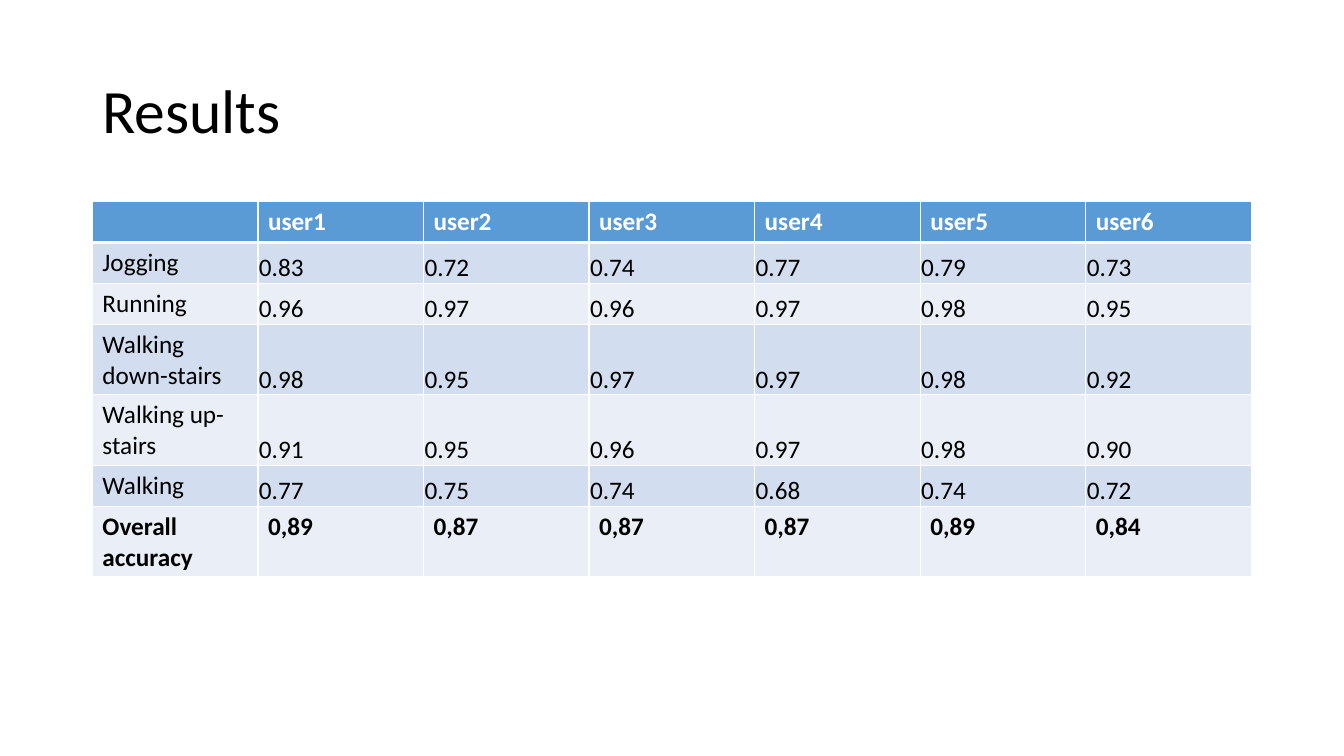
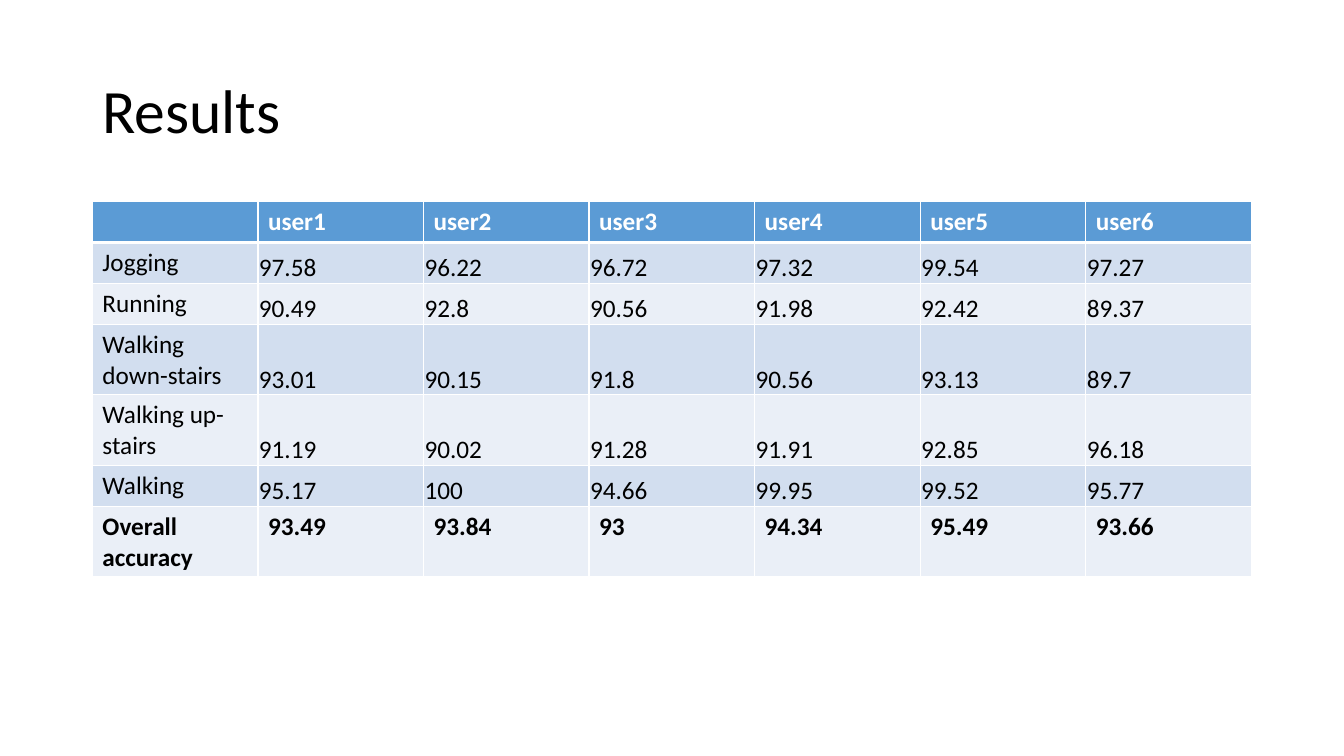
from lxml import etree
from pptx import Presentation
from pptx.dml.color import RGBColor
from pptx.enum import text as t
from pptx.oxml import ns
from pptx.util import Pt

# Shared style
FONT = "Calibri"
BLACK = RGBColor(0x00, 0x00, 0x00)
WHITE = RGBColor(0xFF, 0xFF, 0xFF)
BLUE = RGBColor(0x5B, 0x9B, 0xD5)
BANDS = [RGBColor(0xD2, 0xDE, 0xEF), RGBColor(0xEA, 0xEF, 0xF7)]
LEFT, WIDTH = 66, 828
ROW = 29.2

# Content
USERS = ["user1", "user2", "user3", "user4", "user5", "user6"]
MOVES = ["Jogging", "Running", "Walking down-stairs", "Walking up-stairs",
         "Walking", "Overall accuracy"]
SHARES = [
    ["0.83", "0.72", "0.74", "0.77", "0.79", "0.73"],
    ["0.96", "0.97", "0.96", "0.97", "0.98", "0.95"],
    ["0.98", "0.95", "0.97", "0.97", "0.98", "0.92"],
    ["0.91", "0.95", "0.96", "0.97", "0.98", "0.90"],
    ["0.77", "0.75", "0.74", "0.68", "0.74", "0.72"],
    ["0,89", "0,87", "0,87", "0,87", "0,89", "0,84"],
]
SCORES = [
    ["97.58", "96.22", "96.72", "97.32", "99.54", "97.27"],
    ["90.49", "92.8", "90.56", "91.98", "92.42", "89.37"],
    ["93.01", "90.15", "91.8", "90.56", "93.13", "89.7"],
    ["91.19", "90.02", "91.28", "91.91", "92.85", "96.18"],
    ["95.17", "100", "94.66", "99.95", "99.52", "95.77"],
    ["93.49", "93.84", "93", "94.34", "95.49", "93.66"],
]


def add_run(para, words, size, color, bold=False):
    run = para.add_run()
    run.text = words
    font = run.font
    font.name, font.size, font.bold = FONT, Pt(size), bold
    font.color.rgb = color


def add_title(slide, words):
    box = slide.shapes.add_textbox(Pt(LEFT), Pt(28.8), Pt(WIDTH), Pt(104.4))
    frame = box.text_frame
    frame.word_wrap = True
    frame.vertical_anchor = t.MSO_ANCHOR.MIDDLE
    para = frame.paragraphs[0]
    para.line_spacing = 0.9
    add_run(para, words, 44, BLACK)


def set_edges(cell, top, base):
    # Border lines must come before the fill in the cell properties
    props = cell._tc.get_or_add_tcPr()
    edges = {"lnL": 1, "lnR": 1, "lnT": top, "lnB": base}
    for place, (name, width) in enumerate(edges.items()):
        line = etree.Element(ns.qn("a:" + name), w=str(Pt(width)))
        fill = etree.SubElement(line, ns.qn("a:solidFill"))
        etree.SubElement(fill, ns.qn("a:srgbClr"), val=str(WHITE))
        props.insert(place, line)


def set_tight(cell):
    cell.vertical_anchor = t.MSO_ANCHOR.BOTTOM
    cell.margin_left = cell.margin_right = cell.margin_top = Pt(0.75)
    cell.margin_bottom = Pt(0)


def add_grid(slide, values):
    rows = [[""] + USERS]
    rows += [[move] + line for move, line in zip(MOVES, values)]
    last, count = len(rows) - 1, len(rows[0])
    table = slide.shapes.add_table(len(rows), count, Pt(LEFT), Pt(144),
                                   Pt(WIDTH), Pt(ROW * len(rows))).table
    table.horz_banding = False
    for col in table.columns:
        col.width = Pt(WIDTH / count)
    for r, line in enumerate(rows):
        table.rows[r].height = Pt(ROW)
        head = r == 0
        for c, words in enumerate(line):
            cell = table.cell(r, c)
            cell.fill.solid()
            cell.fill.fore_color.rgb = BLUE if head else BANDS[(r - 1) % 2]
            set_edges(cell, 3 if r == 1 else 1, 3 if head else 1)
            # Measured values sit at the foot of their cells
            if c and 0 < r < last:
                set_tight(cell)
            if words:
                add_run(cell.text_frame.paragraphs[0], words, 18,
                        WHITE if head else BLACK, r in (0, last))


def main():
    deck = Presentation()
    deck.slide_width, deck.slide_height = Pt(960), Pt(540)
    for values in (SHARES, SCORES):
        slide = deck.slides.add_slide(deck.slide_layouts[6])
        add_title(slide, "Results")
        add_grid(slide, values)
    deck.save("out.pptx")


if __name__ == "__main__":
    main()
